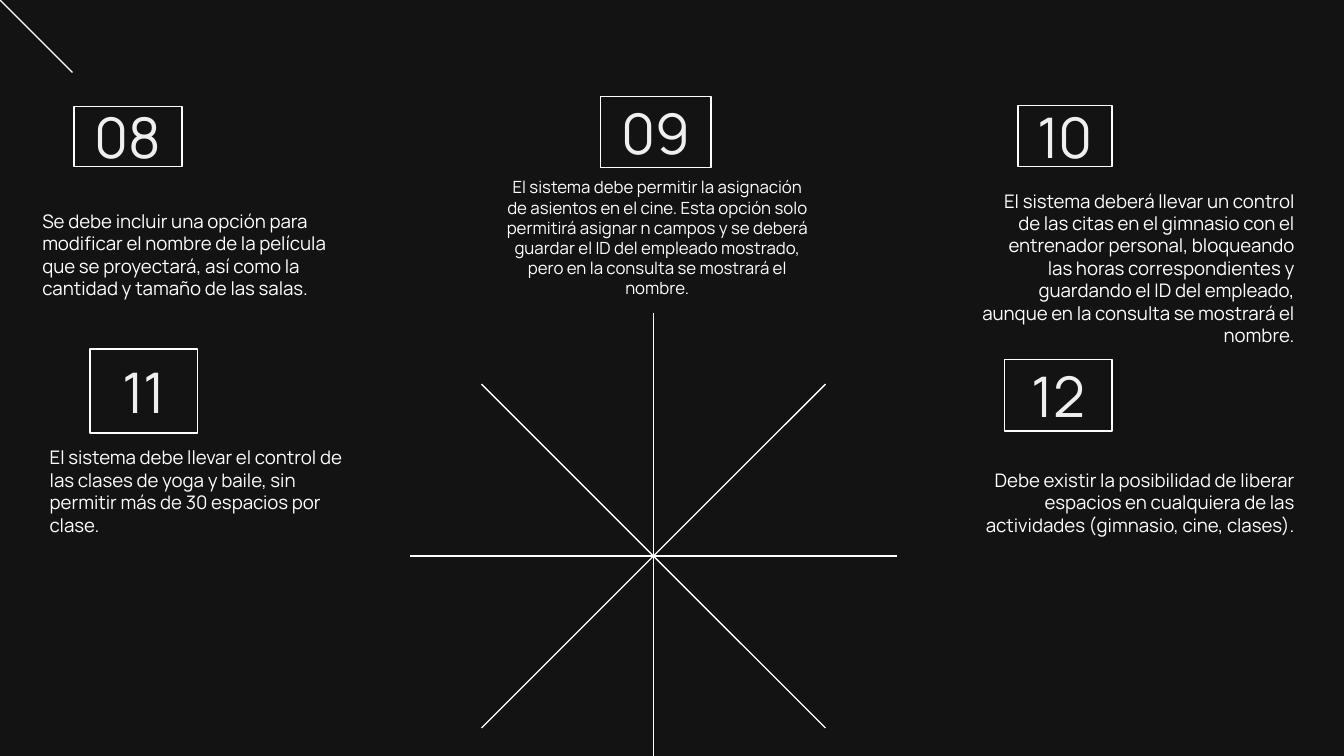
from dataclasses import dataclass

from lxml import etree
from pptx import Presentation
from pptx.dml.color import RGBColor
from pptx.enum.shapes import MSO_CONNECTOR, MSO_SHAPE
from pptx.enum.text import MSO_ANCHOR, MSO_AUTO_SIZE, PP_ALIGN
from pptx.oxml.ns import qn
from pptx.shapes.autoshape import Shape
from pptx.slide import Slide
from pptx.util import Cm, Pt

DARK = RGBColor(0x13, 0x13, 0x13)
WHITE = RGBColor(0xFF, 0xFF, 0xFF)
PALE = RGBColor(0xEF, 0xEF, 0xEF)
LEFT, CENTER, RIGHT = PP_ALIGN.LEFT, PP_ALIGN.CENTER, PP_ALIGN.RIGHT
MIDDLE, BOTTOM = MSO_ANCHOR.MIDDLE, MSO_ANCHOR.BOTTOM
NO_FIT = MSO_AUTO_SIZE.NONE
RECT = MSO_SHAPE.RECTANGLE
STRAIGHT = MSO_CONNECTOR.STRAIGHT
FONT = "Manrope"
WIDE, HIGH = 25.4, 14.29
INSET = Cm(0.25)
THIN = Pt(0.75)


@dataclass
class Box:
    """A place on the slide, in centimetres."""
    left: float
    top: float
    width: float
    height: float

    def lengths(self) -> list[Cm]:
        return [Cm(n) for n in (self.left, self.top, self.width, self.height)]


@dataclass
class Item:
    label: str
    frame: Box
    text: str
    body: Box
    align: PP_ALIGN
    size: int = 10


ITEMS = [
    Item("08", Box(1.4, 2.01, 2.04, 1.14),
         "Se debe incluir una opción para modificar el nombre de la película "
         "que se proyectará, así como la cantidad y tamaño de las salas.",
         Box(0.55, 3.45, 6.4, 2.46), LEFT),
    Item("11", Box(1.7, 6.6, 2.04, 1.59),
         "El sistema debe llevar el control de las clases de yoga y baile, "
         "sin permitir más de 30 espacios por clase.",
         Box(0.69, 8.2, 6.4, 2.18), LEFT),
    Item("09", Box(11.35, 1.82, 2.09, 1.35),
         "El sistema debe permitir la asignación de asientos en el cine. Esta "
         "opción solo permitirá asignar n campos y se deberá guardar el ID del "
         "empleado mostrado, pero en la consulta se mostrará el nombre.",
         Box(9.22, 3.63, 6.4, 2.26), CENTER, 9),
    Item("10", Box(19.24, 1.99, 1.78, 1.16),
         "El sistema deberá llevar un control de las citas en el gimnasio con "
         "el entrenador personal, bloqueando las horas correspondientes y "
         "guardando el ID del empleado, aunque en la consulta se mostrará el "
         "nombre.",
         Box(18.31, 3.6, 6.4, 3.2), RIGHT),
    Item("12", Box(18.98, 6.8, 2.04, 1.35),
         "Debe existir la posibilidad de liberar espacios en cualquiera de las "
         "actividades (gimnasio, cine, clases).",
         Box(18.31, 8.48, 6.4, 1.9), RIGHT),
]


def write(shape: Shape, text: str, size: int, color: RGBColor,
          align: PP_ALIGN, anchor: MSO_ANCHOR) -> None:
    frame = shape.text_frame
    frame.text = text
    frame.word_wrap = True
    frame.auto_size = NO_FIT
    frame.vertical_anchor = anchor
    frame.margin_left = frame.margin_right = INSET
    frame.margin_top = frame.margin_bottom = INSET
    line = frame.paragraphs[0]
    line.alignment = align
    line.font.name = FONT
    line.font.size = Pt(size)
    line.font.color.rgb = color


def add_label(slide: Slide, item: Item) -> None:
    """Frame the number; the first one takes the title placeholder."""
    title = slide.shapes.title
    if title.has_text_frame and not title.text_frame.text:
        shape = title
        shape.left, shape.top, shape.width, shape.height = item.frame.lengths()
    else:
        shape = slide.shapes.add_shape(RECT, *item.frame.lengths())
        shape.shadow.inherit = False
    shape.fill.background()
    shape.line.color.rgb = WHITE
    shape.line.width = THIN
    write(shape, item.label, 30, PALE, CENTER, MIDDLE)


def add_body(slide: Slide, item: Item) -> None:
    shape = slide.shapes.add_textbox(*item.body.lengths())
    write(shape, item.text, item.size, WHITE, item.align, BOTTOM)


def add_line(slide: Slide, x1: float, y1: float, x2: float, y2: float) -> None:
    line = slide.shapes.add_connector(STRAIGHT, Cm(x1), Cm(y1), Cm(x2), Cm(y2))
    line.line.color.rgb = WHITE
    line.line.width = THIN
    etree.SubElement(line._element.spPr, qn("a:effectLst"))


def add_star(slide: Slide, x: float, y: float, reach: float, diag: float) -> None:
    """Draw four lines through one centre, ending at the slide's foot."""
    add_line(slide, x, y - reach, x, min(y + reach, HIGH))
    add_line(slide, x + diag, y - diag, x - diag, y + diag)
    add_line(slide, x + diag, y + diag, x - diag, y - diag)
    add_line(slide, x - reach, y, x + reach, y)


def main() -> None:
    deck = Presentation()
    deck.slide_width, deck.slide_height = Cm(WIDE), Cm(HIGH)
    slide = deck.slides.add_slide(deck.slide_layouts[5])
    slide.background.fill.solid()
    slide.background.fill.fore_color.rgb = DARK
    add_line(slide, 0, 0, 1.37, 1.37)
    for item in ITEMS:
        add_label(slide, item)
        add_body(slide, item)
    add_star(slide, 12.35, 10.51, 4.6, 3.25)
    deck.save("out.pptx")


if __name__ == "__main__":
    main()
